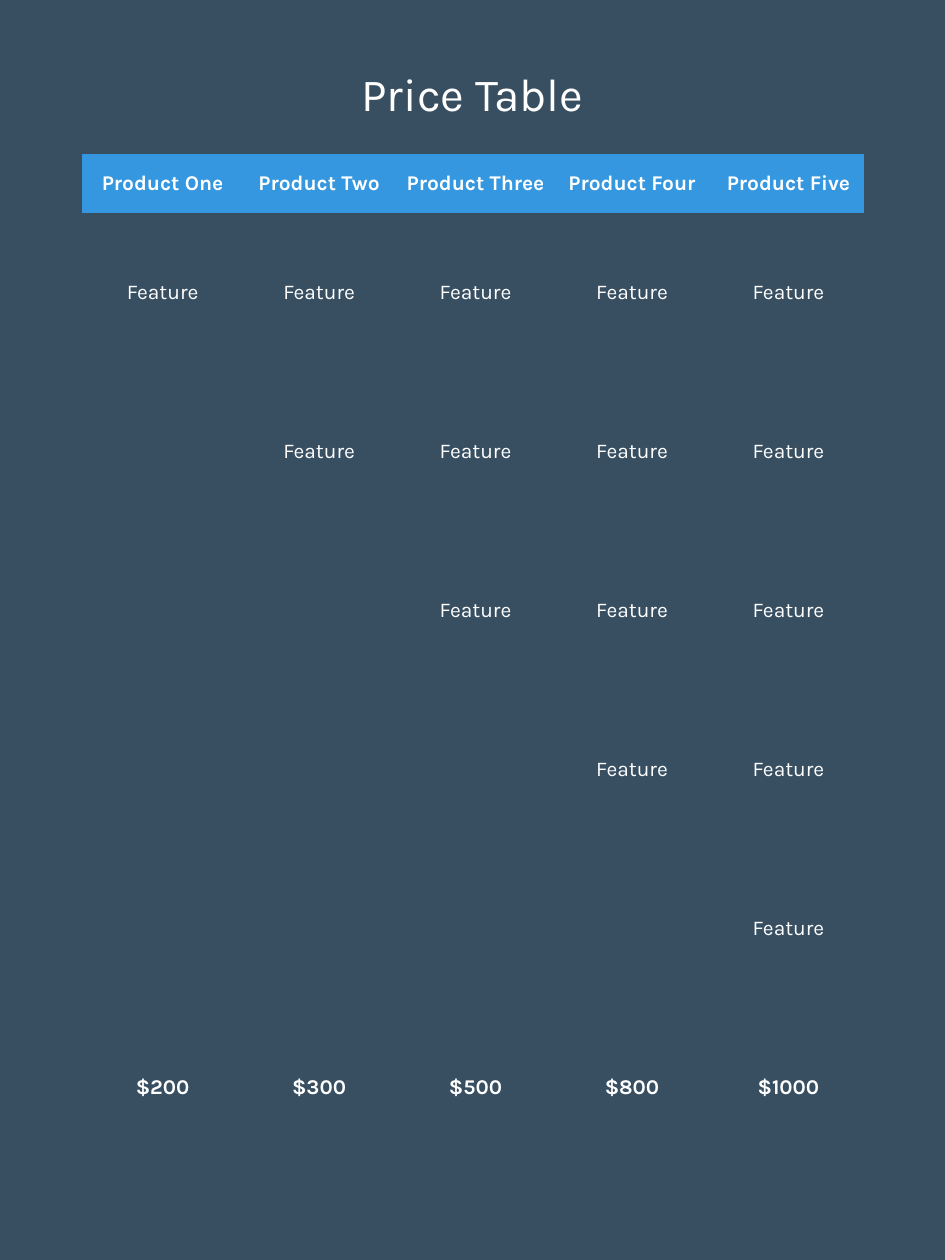
from pptx import Presentation
from pptx.dml.color import RGBColor
from pptx.enum.text import MSO_ANCHOR, PP_ALIGN
from pptx.oxml.ns import qn
from pptx.util import Inches, Pt

CENTER = PP_ALIGN.CENTER
MIDDLE = MSO_ANCHOR.MIDDLE

COLORS = {"background": "384F62", "header": "3497DF", "text": "FFFFFF"}
FONT = "Karla"
NO_STYLE_NO_GRID = "{2D5ABB26-0587-4C30-8999-92F81FD0307C}"

PRODUCTS = ["One", "Two", "Three", "Four", "Five"]
PRICES = [200, 300, 500, 800, 1000]


class PriceSlide:
    """Holds the style and the current slide; lengths are shares of the slide."""

    def __init__(self, deck):
        self.width, self.height = deck.slide_width, deck.slide_height
        self.page = deck.slides.add_slide(deck.slide_layouts[6])
        fill = self.page.background.fill
        fill.solid()
        fill.fore_color.rgb = self.color("background")

    def color(self, name):
        return RGBColor.from_string(COLORS[name])

    def place(self, left, top, width, height):
        return (int(left * self.width), int(top * self.height),
                int(width * self.width), int(height * self.height))

    def set_text(self, frame, text, size, bold=False):
        frame.text = text
        para = frame.paragraphs[0]
        para.alignment = CENTER
        for span in para.runs:
            span.font.name = FONT
            span.font.size = Pt(size)
            span.font.bold = bold
            span.font.color.rgb = self.color("text")
        return para

    def title(self, text, area, size):
        box = self.page.shapes.add_textbox(*self.place(*area))
        frame = box.text_frame
        frame.word_wrap = True
        frame.vertical_anchor = MIDDLE
        frame.margin_left = frame.margin_right = 0
        frame.margin_top = frame.margin_bottom = 0
        self.set_text(frame, text, size).line_spacing = 0.8

    def cell(self, cell, text, bold, fill):
        if fill:
            cell.fill.solid()
            cell.fill.fore_color.rgb = self.color(fill)
        else:
            cell.fill.background()
        if not text:
            return
        cell.vertical_anchor = MIDDLE
        cell.margin_left = cell.margin_right = Inches(0.02)
        cell.margin_top = cell.margin_bottom = Inches(0.02)
        para = self.set_text(cell.text_frame, text, 12, bold)
        properties = para._p.get_or_add_pPr()
        properties.set("marL", str(Inches(0.04)))
        properties.set("indent", "0")

    def table(self, rows, area, header_share):
        left, top, width, height = self.place(*area)
        table = self.page.shapes.add_table(
            len(rows), len(rows[0]), left, top, width, height).table
        table.first_row = table.horz_banding = False
        table._tbl.tblPr.find(qn("a:tableStyleId")).text = NO_STYLE_NO_GRID

        # A low header row, then equal rows
        last = len(rows) - 1
        header = int(header_share * self.height)
        body = (height - header) // last
        for r, texts in enumerate(rows):
            table.rows[r].height = body if r else header
            for c, text in enumerate(texts):
                self.cell(table.cell(r, c), text, bold=r in (0, last),
                          fill=None if r else "header")


def main():
    deck = Presentation()
    deck.slide_width, deck.slide_height = Inches(7.5), Inches(10)
    slide = PriceSlide(deck)

    # Heading
    slide.title("Price Table", (0.67 / 7.5, 0.06, 6.16 / 7.5, 0.036), 26.3)

    # Each product has one feature more than the product before it
    count = len(PRODUCTS)
    rows = [[f"Product {name}" for name in PRODUCTS]]
    rows += [["Feature" if column >= level else "" for column in range(count)]
             for level in range(count)]
    rows.append([f"${price}" for price in PRICES])
    slide.table(rows, (0.65 / 7.5, 0.122, 6.21 / 7.5, 0.804), 0.047)

    deck.save("out.pptx")


if __name__ == "__main__":
    main()
